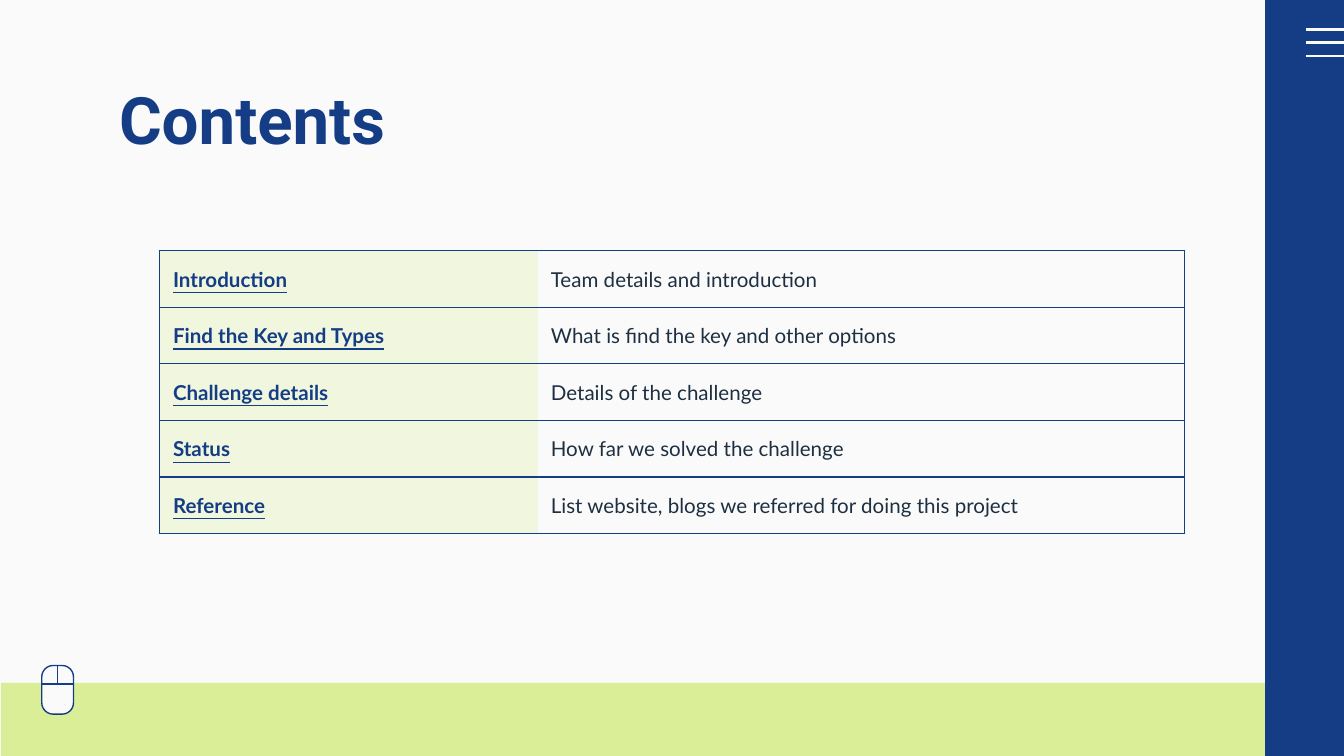
from dataclasses import dataclass

import pptx
import pptx.dml.color
import pptx.enum.shapes
import pptx.enum.text
import pptx.oxml
import pptx.oxml.ns
import pptx.util
from lxml import etree

Cm = pptx.util.Cm
Pt = pptx.util.Pt
MSO_SHAPE = pptx.enum.shapes.MSO_SHAPE
ANCHOR = pptx.enum.text.MSO_ANCHOR


@dataclass(frozen=True)
class Theme:
    paper: str = "FAFAFA"
    blue: str = "153D85"
    green: str = "DAEE97"
    pale_green: str = "F1F7DF"
    ink: str = "1D2F41"
    title_font: str = "Roboto"
    body_font: str = "Lato"
    title_size: float = 35
    body_size: float = 11
    thin: float = 0.75
    thick: float = 1.5


@dataclass(frozen=True)
class Box:
    left: float
    top: float
    width: float
    height: float

    def lengths(self):
        return [Cm(side) for side in (self.left, self.top, self.width, self.height)]


THEME = Theme()
SLIDE = Box(0, 0, 25.4, 14.29)
CONTENTS = [
    ("Introduction", "Team details and introduction"),
    ("Find the Key and Types", "What is find the key and other options"),
    ("Challenge details", "Details of the challenge"),
    ("Status", "How far we solved the challenge"),
    ("Reference", "List website, blogs we referred for doing this project"),
]


def rgb(color):
    return pptx.dml.color.RGBColor.from_string(color)


def add_block(page, box, fill, line=None, kind=MSO_SHAPE.RECTANGLE):
    shape = page.shapes.add_shape(kind, *box.lengths())
    shape.shadow.inherit = False
    shape.fill.solid()
    shape.fill.fore_color.rgb = rgb(fill)
    if line:
        shape.line.color.rgb = rgb(line)
        shape.line.width = Pt(THEME.thin)
    else:
        shape.line.fill.background()
    return shape


def add_line(page, start, end, color, width):
    line = page.shapes.add_connector(
        pptx.enum.shapes.MSO_CONNECTOR.STRAIGHT, *map(Cm, (*start, *end))
    )
    line.line.color.rgb = rgb(color)
    line.line.width = Pt(width)
    etree.SubElement(line._element.spPr, pptx.oxml.ns.qn("a:effectLst"))


def add_span(para, text, font, size, color, bold=False, underline=False):
    span = para.add_run()
    span.text = text
    span.font.name = font
    span.font.size = Pt(size)
    span.font.color.rgb = rgb(color)
    span.font.bold = bold
    span.font.underline = underline


def set_borders(cell, drawn_sides):
    properties = cell._tc.get_or_add_tcPr()
    for position, side in enumerate("LRTB"):
        border = pptx.oxml.parse_xml(
            f'<a:ln{side} {pptx.oxml.ns.nsdecls("a")}/>'
        )
        if side in drawn_sides:
            border.set("w", str(Pt(THEME.thin)))
            fill = etree.SubElement(border, pptx.oxml.ns.qn("a:solidFill"))
            etree.SubElement(fill, pptx.oxml.ns.qn("a:srgbClr"), val=THEME.blue)
        else:
            etree.SubElement(border, pptx.oxml.ns.qn("a:noFill"))
        properties.insert(position, border)


def add_sidebar(page, box):
    add_block(page, box, THEME.blue)
    for number in range(3):
        height = box.top + 0.56 + number * 0.25
        add_line(page, (box.left + 0.78, height), (box.left + box.width, height),
                 THEME.paper, THEME.thick)


def add_title(page, box):
    frame = page.shapes.add_textbox(*box.lengths()).text_frame
    frame.word_wrap = True
    frame.vertical_anchor = ANCHOR.TOP
    frame.margin_left = frame.margin_right = Cm(0.25)
    frame.margin_top = frame.margin_bottom = Cm(0.25)
    add_span(frame.paragraphs[0], "Contents", THEME.title_font,
             THEME.title_size, THEME.blue, bold=True)


def add_contents(page, box):
    table = page.shapes.add_table(len(CONTENTS), 2, *box.lengths()).table
    table.first_row = False
    table.horz_banding = False
    topic_width = 7.14
    table.columns[0].width = Cm(topic_width)
    table.columns[1].width = Cm(box.width - topic_width)
    for row, texts in zip(table.rows, CONTENTS):
        row.height = Cm(box.height / len(CONTENTS))
        for column, (cell, text) in enumerate(zip(row.cells, texts)):
            is_topic = column == 0
            cell.vertical_anchor = ANCHOR.MIDDLE
            cell.margin_left = cell.margin_right = Cm(0.25)
            cell.margin_top = cell.margin_bottom = 0
            cell.fill.solid()
            cell.fill.fore_color.rgb = rgb(THEME.pale_green if is_topic else THEME.paper)
            add_span(cell.text_frame.paragraphs[0], text, THEME.body_font, THEME.body_size,
                     THEME.blue if is_topic else THEME.ink, is_topic, is_topic)
            set_borders(cell, "LTB" if is_topic else "RTB")


def add_mouse(page, box):
    body = add_block(page, box, THEME.paper, THEME.blue, MSO_SHAPE.ROUNDED_RECTANGLE)
    body.adjustments[0] = 0.36
    middle = box.left + box.width / 2
    split = box.top + 0.35
    add_line(page, (box.left, split), (box.left + box.width, split), THEME.blue, THEME.thin)
    add_line(page, (middle, box.top), (middle, split), THEME.blue, THEME.thin)


def add_contents_page(deck, box):
    page = deck.slides.add_slide(deck.slide_layouts[6])
    page.background.fill.solid()
    page.background.fill.fore_color.rgb = rgb(THEME.paper)
    bar_left = box.left + 23.91
    band_top = box.top + 12.91
    add_block(page, Box(box.left + 0.02, band_top, bar_left - box.left - 0.02,
                        box.top + box.height - band_top), THEME.green)
    add_sidebar(page, Box(bar_left, box.top, box.left + box.width - bar_left, box.height))
    add_title(page, Box(box.left + 2, box.top + 1.25, 21.41, 1.6))
    add_contents(page, Box(box.left + 3.02, box.top + 4.74, 19.36, 5.35))
    add_mouse(page, Box(box.left + 0.79, box.top + 12.58, 0.6, 0.92))


def main():
    deck = pptx.Presentation()
    deck.slide_width = Cm(SLIDE.width)
    deck.slide_height = Cm(SLIDE.height)
    add_contents_page(deck, SLIDE)
    deck.save("out.pptx")


if __name__ == "__main__":
    main()
